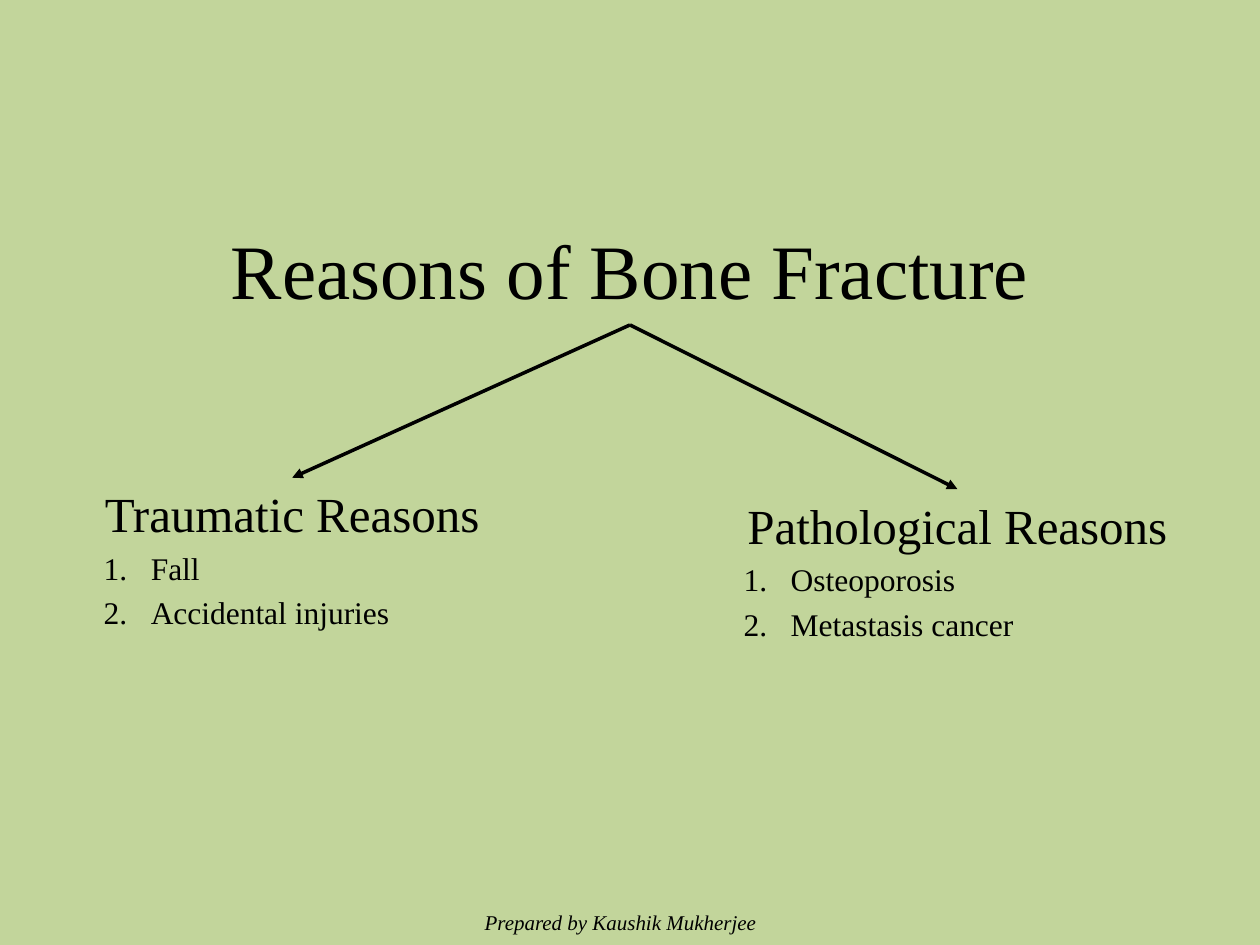
"""Build a slide that sorts the reasons of bone fracture into two groups."""
from dataclasses import dataclass

from lxml.etree import SubElement
from pptx import Presentation
from pptx.dml.color import RGBColor
from pptx.enum.shapes import MSO_CONNECTOR
from pptx.enum.text import MSO_ANCHOR, PP_ALIGN
from pptx.oxml.ns import qn
from pptx.slide import Slide
from pptx.util import Cm, Pt


def color(value):
    return RGBColor.from_string(value)


@dataclass
class FractureSlide:
    slide: Slide
    font: str = "Times New Roman"
    ink: str = "000000"
    background: str = "C2D59B"
    spacing: float = 3.6

    def paint_background(self):
        fill = self.slide.background.fill
        fill.solid()
        fill.fore_color.rgb = color(self.background)

    def format_runs(self, paragraph, size, italic=False):
        for run in paragraph.runs:
            run.font.name = self.font
            run.font.size = Pt(size)
            run.font.italic = italic
            run.font.color.rgb = color(self.ink)

    def add_title(self, text, left, top, width, height):
        title = self.slide.shapes.title
        title.left, title.top = Cm(left), Cm(top)
        title.width, title.height = Cm(width), Cm(height)
        title.text_frame.text = text
        title.text_frame.vertical_anchor = MSO_ANCHOR.MIDDLE
        paragraph = title.text_frame.paragraphs[0]
        paragraph.alignment = PP_ALIGN.CENTER
        self.format_runs(paragraph, 44)

    def add_text(self, text, left, top, width, height, size, italic=False):
        shape = self.slide.shapes.add_textbox(Cm(left), Cm(top), Cm(width), Cm(height))
        text_frame = shape.text_frame
        text_frame.word_wrap = True
        text_frame.text = text
        self.format_runs(text_frame.paragraphs[0], size, italic)
        return text_frame

    def add_reasons(self, heading, reasons, left, top, indent):
        text_frame = self.add_text(heading, left, top, 10.26, 1.57, 28)
        text_frame.paragraphs[0].alignment = PP_ALIGN.CENTER
        text_frame.paragraphs[0].space_before = Pt(self.spacing)
        for reason in reasons:
            paragraph = text_frame.add_paragraph()
            paragraph.text = reason
            paragraph.space_before = Pt(self.spacing)
            self.format_runs(paragraph, 18)
            self.number_paragraph(paragraph, indent)

    def number_paragraph(self, paragraph, indent):
        properties = paragraph._p.get_or_add_pPr()
        properties.set("marL", str(Cm(indent)))
        properties.set("indent", str(Cm(-0.95)))
        SubElement(properties, qn("a:buFont"), typeface="+mj-lt")
        SubElement(properties, qn("a:buAutoNum"), type="arabicPeriod")

    def add_arrow(self, start, end):
        points = [Cm(length) for length in (*start, *end)]
        arrow = self.slide.shapes.add_connector(MSO_CONNECTOR.STRAIGHT, *points)
        arrow.line.color.rgb = color(self.ink)
        arrow.line.width = Pt(2)
        SubElement(arrow.line._get_or_add_ln(), qn("a:tailEnd"), type="triangle")
        SubElement(arrow._element.spPr, qn("a:effectLst"))


def main():
    presentation = Presentation()
    presentation.slide_width, presentation.slide_height = Cm(25.4), Cm(19.05)
    layout = presentation.slide_layouts.get_by_name("Title Only")
    page = FractureSlide(presentation.slides.add_slide(layout))
    page.paint_background()
    page.add_title("Reasons of Bone Fracture", 1.27, 4.24, 22.86, 2.34)
    page.add_reasons("Traumatic Reasons", ["Fall", "Accidental injuries"], 0.76, 9.63, 2.03)
    page.add_reasons("Pathological Reasons", ["Osteoporosis", "Metastasis cancer"], 14.17, 9.86, 1.52)
    for end in ((5.89, 9.63), (19.3, 9.86)):
        page.add_arrow((12.7, 6.55), end)
    page.add_text("Prepared by Kaushik Mukherjee", 9.52, 18.21, 6.15, 0.76, 12, italic=True)
    presentation.save("out.pptx")


if __name__ == "__main__":
    main()
